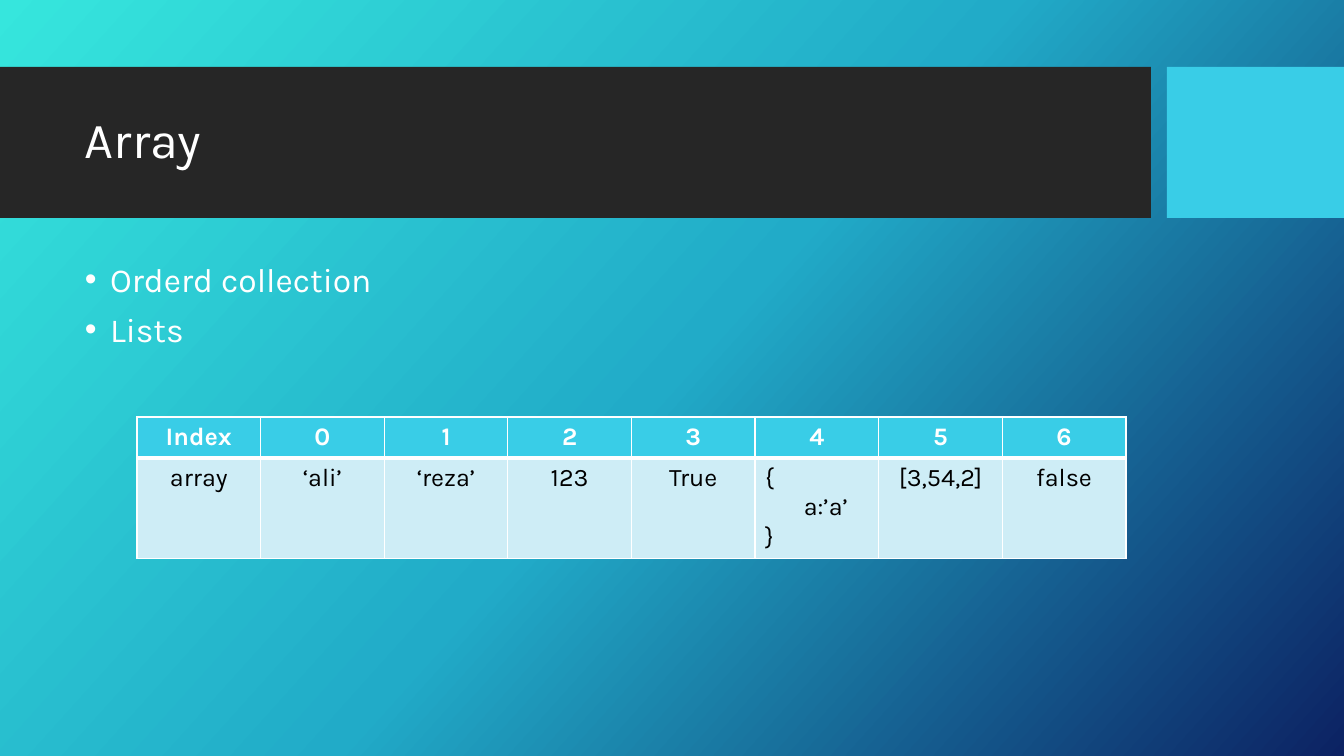
from copy import deepcopy

from lxml import etree
from pptx import Presentation
from pptx import util as u
from pptx.dml.color import RGBColor
from pptx.enum import shapes, text
from pptx.oxml.ns import qn

EMU_PER_PX = 12192000 / 1344
FONT = "Karla"
WHITE = RGBColor(0xFF, 0xFF, 0xFF)
BLACK = RGBColor(0, 0, 0)
CHARCOAL = RGBColor(0x26, 0x26, 0x26)
CYAN = RGBColor(0x39, 0xCD, 0xE7)
PALE_CYAN = RGBColor(0xCE, 0xED, 0xF6)
BACKDROP = [
    (0, RGBColor(0x36, 0xE6, 0xDD)),
    (0.5, RGBColor(0x21, 0xAB, 0xC8)),
    (1, RGBColor(0x0C, 0x22, 0x63)),
]

HEADINGS = ["Index", "0", "1", "2", "3", "4", "5", "6"]
VALUES = ["array", "‘ali’", "‘reza’", "123", "True", "{\na:’a’\n}", "[3,54,2]", "false"]
BRACES = ("{", "}")


def px(length):
    return u.Emu(round(length * EMU_PER_PX))


def paint_background(page):
    fill = page.background.fill
    fill.gradient()
    fill.gradient_angle = 360 - 42
    stop_list = page.element.find(".//" + qn("a:gsLst"))
    stop_list.append(deepcopy(stop_list[0]))
    for stop, (position, color) in zip(fill.gradient_stops, BACKDROP):
        stop.position = position
        stop.color.rgb = color


def add_block(page, left, top, width, height, color):
    block = page.shapes.add_shape(
        shapes.MSO_SHAPE.RECTANGLE, px(left), px(top), px(width), px(height))
    block.shadow.inherit = False
    block.fill.solid()
    block.fill.fore_color.rgb = color
    block.line.fill.background()


def style_para(para, size, color, bold=False):
    for span in para.runs:
        span.font.name = FONT
        span.font.size = u.Pt(size)
        span.font.color.rgb = color
        span.font.bold = bold


def add_text(page, left, top, width, height, words, size):
    box = page.shapes.add_textbox(px(left), px(top), px(width), px(height))
    frame = box.text_frame
    frame.word_wrap = True
    frame.text = words
    for para in frame.paragraphs:
        para.line_spacing = 0.9
        style_para(para, size, WHITE)
    return frame


def add_bullets(frame):
    for para in frame.paragraphs:
        para.space_before = u.Pt(10)
        props = para._p.get_or_add_pPr()
        props.set("marL", str(u.Inches(0.25)))
        props.set("indent", str(-u.Inches(0.25)))
        etree.SubElement(props, qn("a:buFont")).set("typeface", "Arial")
        etree.SubElement(props, qn("a:buChar")).set("char", "•")


def add_borders(cell, top, bottom):
    """Draw white cell edges; top and bottom are widths in points."""
    props = cell._tc.get_or_add_tcPr()
    for side, width in (("L", 1), ("R", 1), ("T", top), ("B", bottom)):
        edge = etree.SubElement(props, qn("a:ln" + side), w=str(u.Pt(width)))
        fill = etree.SubElement(edge, qn("a:solidFill"))
        etree.SubElement(fill, qn("a:srgbClr"), val=str(WHITE))


def fill_cell(cell, words, is_heading):
    add_borders(cell, *((1, 3) if is_heading else (3, 1)))
    cell.fill.solid()
    cell.fill.fore_color.rgb = CYAN if is_heading else PALE_CYAN
    cell.text_frame.text = words
    paras = cell.text_frame.paragraphs
    for para in paras:
        is_brace = para.text in BRACES
        para.alignment = text.PP_ALIGN.LEFT if is_brace else text.PP_ALIGN.CENTER
        style_para(para, 18, WHITE if is_heading else BLACK, is_heading)
    if len(paras) > 1:
        paras[1]._p.get_or_add_pPr().set("marL", str(px(18)))


def add_array_table(page, left, top, width, row_heights):
    rows = [HEADINGS, VALUES]
    table = page.shapes.add_table(
        len(rows), len(HEADINGS), px(left), px(top), px(width), px(sum(row_heights))).table
    table.horz_banding = False
    for row_index, (height, row) in enumerate(zip(row_heights, rows)):
        table.rows[row_index].height = px(height)
        for column, words in enumerate(row):
            fill_cell(table.cell(row_index, column), words, row_index == 0)


def main():
    deck = Presentation()
    deck.slide_width, deck.slide_height = px(1344), px(756)
    page = deck.slides.add_slide(deck.slide_layouts[6])
    paint_background(page)
    add_block(page, 0, 67, 1151, 151, CHARCOAL)
    add_block(page, 1167, 67, 177, 151, CYAN)
    title = add_text(page, 75, 83, 1059, 119, "Array", 36)
    title.vertical_anchor = text.MSO_ANCHOR.MIDDLE
    add_bullets(add_text(page, 75, 258, 1059, 121, "Orderd collection\nLists", 24))
    add_array_table(page, 137, 417, 989, [41, 99])
    deck.save("out.pptx")


if __name__ == "__main__":
    main()
